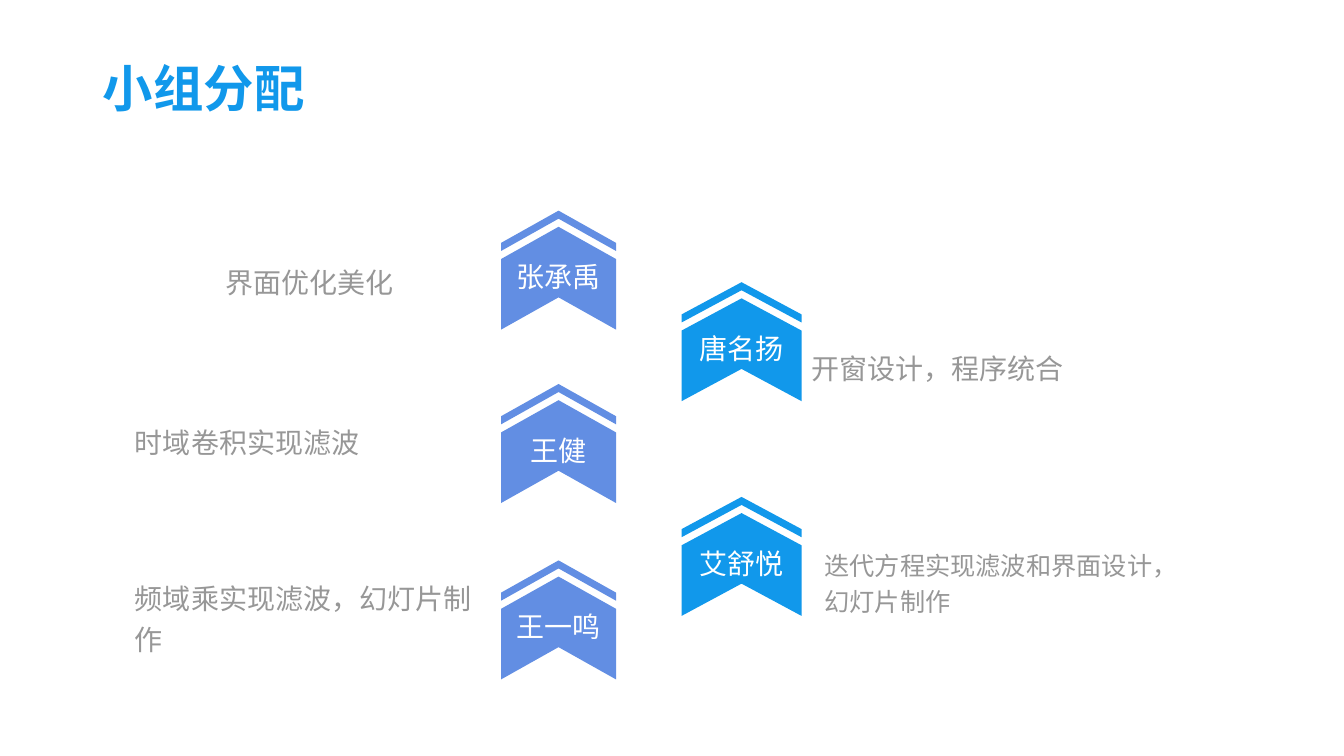
from pptx import Presentation
from pptx.dml.color import RGBColor
from pptx.enum.text import MSO_ANCHOR, PP_ALIGN
from pptx.util import Inches, Pt

COLORS = {"periwinkle": "628EE3", "azure": "1198EB", "gray": "979797", "white": "FFFFFF"}
FONT = "Arial"
TITLE = "小组分配"
COLUMNS = {
    "left": {"x": 4.97, "width": 1.14, "color": "periwinkle"},
    "right": {"x": 6.76, "width": 1.19, "color": "azure"},
}
MEMBERS = [
    ("张承禹", "left", 2.09, "界面优化美化", (2.14, 2.26, 3.73, 1.02), 20),
    ("唐名扬", "right", 2.8, "开窗设计，程序统合", (7.95, 3.28, 3.73, 0.69), 20),
    ("王健", "left", 3.81, "时域卷积实现滤波", (1.24, 3.81, 3.73, 1.09), 20),
    ("艾舒悦", "right", 4.93, "迭代方程实现滤波和界面设计，幻灯片制作", (8.08, 5.41, 3.73, 0.69), 18),
    ("王一鸣", "left", 5.56, "频域乘实现滤波，幻灯片制作", (1.24, 5.56, 3.73, 1.09), 20),
]
PEAK = 0.32
STRIPE_HEIGHT = 0.08
BADGE_OFFSET = 0.16
BADGE_HEIGHT = 0.7


def write(frame, text, size, color, align=PP_ALIGN.LEFT, spacing=1.0, bold=False):
    frame.word_wrap = True
    frame.vertical_anchor = MSO_ANCHOR.MIDDLE
    paragraph = frame.paragraphs[0]
    paragraph.alignment = align
    paragraph.line_spacing = spacing
    run = paragraph.add_run()
    run.text = text
    run.font.name = FONT
    run.font.size = Pt(size)
    run.font.bold = bold
    run.font.color.rgb = RGBColor.from_string(COLORS[color])


def add_chevron(shapes, column, top, height):
    left, width = column["x"], column["width"]
    middle, right = left + width / 2, left + width
    outline = [
        (middle, top),
        (left, top + PEAK),
        (left, top + PEAK + height),
        (middle, top + height),
        (right, top + PEAK + height),
        (right, top + PEAK),
    ]
    points = [(Inches(x), Inches(y)) for x, y in outline]
    builder = shapes.build_freeform(*points[0])
    builder.add_line_segments(points[1:], close=True)
    chevron = builder.convert_to_shape()
    chevron.shadow.inherit = False
    chevron.fill.solid()
    chevron.fill.fore_color.rgb = RGBColor.from_string(COLORS[column["color"]])
    chevron.line.fill.background()
    return chevron


presentation = Presentation()
presentation.slide_width = Inches(13.33)
presentation.slide_height = Inches(7.5)
slide = presentation.slides.add_slide(presentation.slide_layouts[5])

heading = slide.shapes.title
heading.left, heading.top, heading.width, heading.height = map(Inches, (0.92, 0.4, 11.5, 1))
write(heading.text_frame, TITLE, 36, "azure", spacing=0.9, bold=True)

for name, side, top, task, task_box, task_size in MEMBERS:
    column = COLUMNS[side]
    badge = add_chevron(slide.shapes, column, top + BADGE_OFFSET, BADGE_HEIGHT)
    label = badge.text_frame
    label.margin_left = label.margin_right = Inches(0.1)
    label.margin_top, label.margin_bottom = Inches(0.17), Inches(0.2)
    write(label, name, 20, "white", PP_ALIGN.CENTER)
    add_chevron(slide.shapes, column, top, STRIPE_HEIGHT)
    description = slide.shapes.add_textbox(*map(Inches, task_box))
    write(description.text_frame, task, task_size, "gray", spacing=1.2)

presentation.save("out.pptx")
